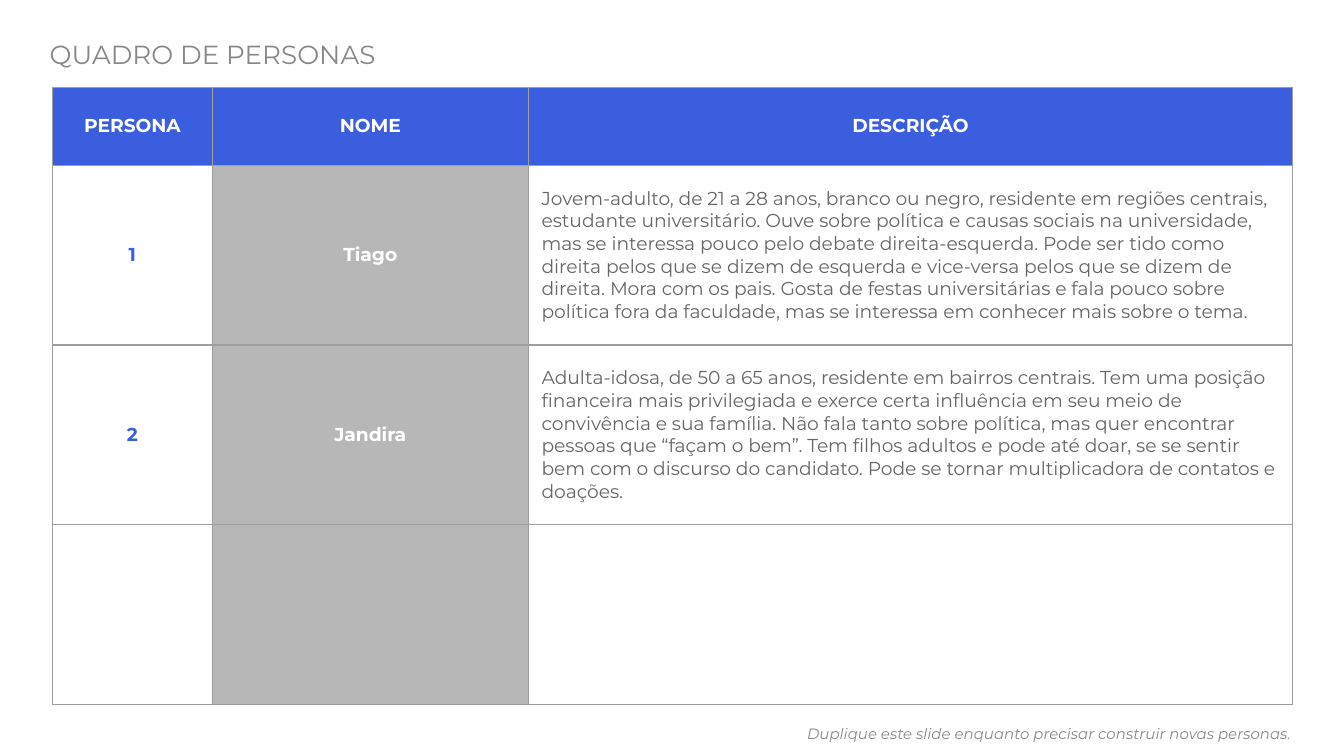
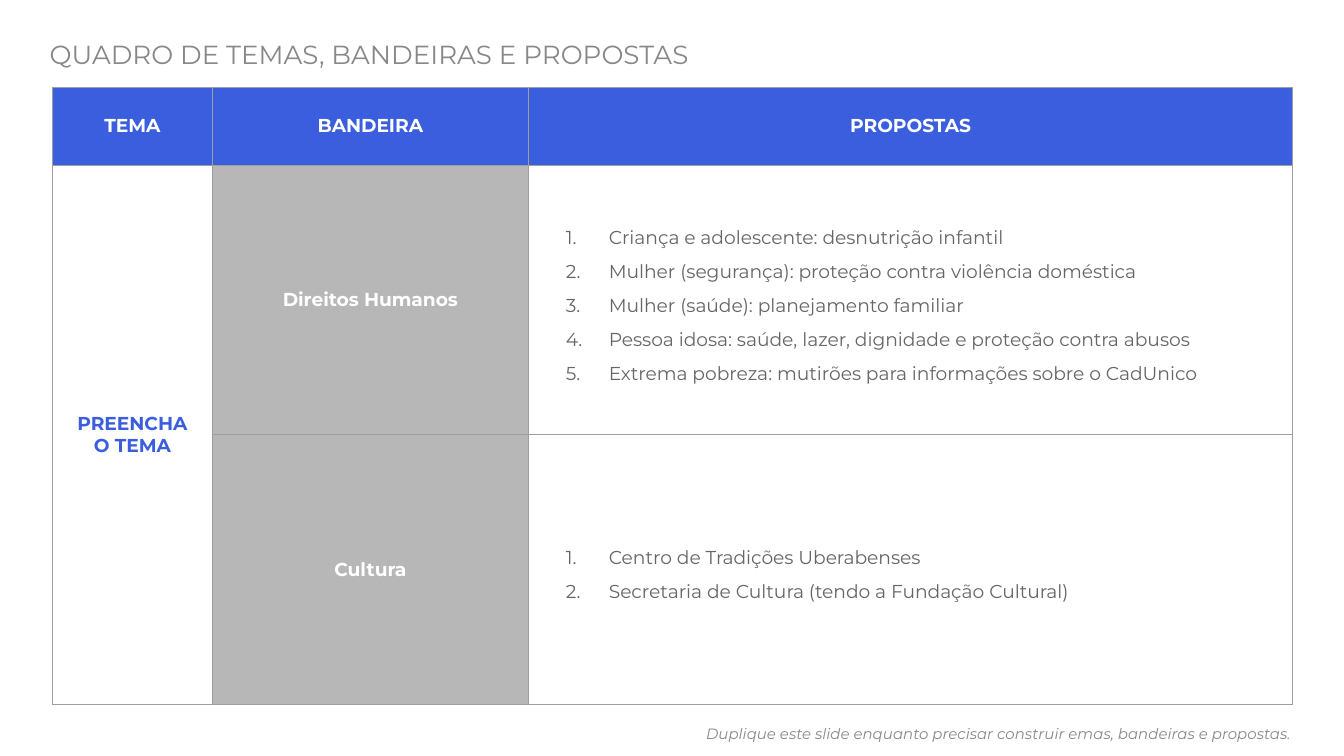
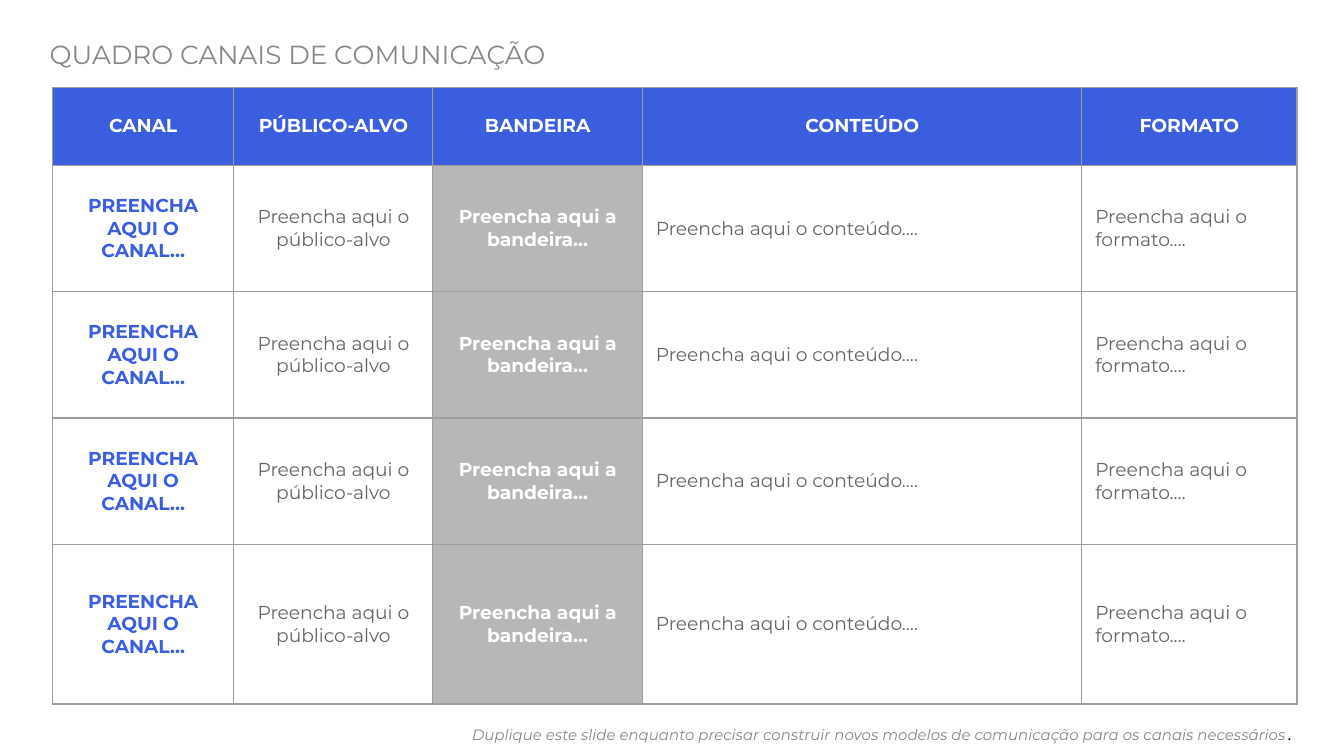
from dataclasses import dataclass
from typing import Optional

from lxml.etree import SubElement
from pptx import Presentation
from pptx.dml.color import RGBColor
from pptx.enum.text import MSO_ANCHOR, MSO_AUTO_SIZE, PP_ALIGN
from pptx.oxml.ns import qn
from pptx.presentation import Presentation as Deck
from pptx.slide import Slide
from pptx.table import _Cell as Cell
from pptx.text.text import TextFrame, _Paragraph as Paragraph
from pptx.util import Inches, Pt

BLUE = RGBColor(0x3A, 0x5E, 0xDD)
WHITE = RGBColor(0xFF, 0xFF, 0xFF)
BLACK = RGBColor(0x00, 0x00, 0x00)
SILVER = RGBColor(0xB7, 0xB7, 0xB7)
LINE_GRAY = RGBColor(0x9E, 0x9E, 0x9E)
TITLE_GRAY = RGBColor(0x88, 0x88, 0x88)
TEXT_GRAY = RGBColor(0x66, 0x66, 0x66)

FONT = "Montserrat"
TITLE_ONLY_LAYOUT = 5
SLIDE_WIDTH = 10
SLIDE_HEIGHT = SLIDE_WIDTH * 9 / 16
TABLE_LEFT, TABLE_TOP = 0.39, 0.65
HEADER_HEIGHT = 0.58
BODY_HEIGHT = 4.01
FOOTER_RIGHT = 9.71


@dataclass(frozen=True)
class CellStyle:
    color: RGBColor
    bold: bool = False
    align: PP_ALIGN = PP_ALIGN.CENTER
    fill: Optional[RGBColor] = None
    numbered: bool = False


HEADER = CellStyle(WHITE, bold=True, fill=BLUE)
KEY = CellStyle(BLUE, bold=True)
NAME = CellStyle(WHITE, bold=True, fill=SILVER)
DESCRIPTION = CellStyle(TEXT_GRAY, align=PP_ALIGN.LEFT)
PROPOSALS = CellStyle(TEXT_GRAY, align=PP_ALIGN.LEFT, numbered=True)
AUDIENCE = CellStyle(TEXT_GRAY, fill=WHITE)
CONTENT = CellStyle(TEXT_GRAY, align=PP_ALIGN.LEFT, fill=WHITE)


@dataclass(frozen=True)
class Column:
    heading: str
    width: float
    style: CellStyle


@dataclass(frozen=True)
class Board:
    """One slide: a title, a table and a footer; each cell is a tuple of paragraphs."""
    title: str
    title_width: float
    columns: tuple[Column, ...]
    rows: tuple[tuple[tuple[str, ...], ...], ...]
    row_heights: tuple[float, ...]
    footer: str
    footer_width: float = 5.54
    footer_ending: str = ""
    merge_first_column: bool = False


CHANNEL_ROW = (
    ("PREENCHA\nAQUI O CANAL…",),
    ("Preencha aqui o público-alvo",),
    ("Preencha aqui a bandeira…",),
    ("Preencha aqui o conteúdo.…",),
    ("Preencha aqui o formato.…",),
)

BOARDS = (
    Board(
        title="QUADRO DE PERSONAS",
        title_width=3.35,
        columns=(
            Column("PERSONA", 1.19, KEY),
            Column("NOME", 2.35, NAME),
            Column("DESCRIÇÃO", 5.69, DESCRIPTION),
        ),
        rows=(
            (("1",), ("Tiago",), (
                "Jovem-adulto, de 21 a 28 anos, branco ou negro, residente em regiões "
                "centrais, estudante universitário. Ouve sobre política e causas sociais "
                "na universidade, mas se interessa pouco pelo debate direita-esquerda. "
                "Pode ser tido como direita pelos que se dizem de esquerda e vice-versa "
                "pelos que se dizem de direita. Mora com os pais. Gosta de festas "
                "universitárias e fala pouco sobre política fora da faculdade, mas se "
                "interessa em conhecer mais sobre o tema.",)),
            (("2",), ("Jandira",), (
                "Adulta-idosa, de 50 a 65 anos, residente em bairros centrais. Tem uma "
                "posição financeira mais privilegiada e exerce certa influência em seu "
                "meio de convivência e sua família. Não fala tanto sobre política, mas "
                "quer encontrar pessoas que “façam o bem”. Tem filhos adultos e pode até "
                "doar, se se sentir bem com o discurso do candidato. Pode se tornar "
                "multiplicadora de contatos e doações.",)),
            ((), (), ()),
        ),
        row_heights=(BODY_HEIGHT / 3,) * 3,
        footer="Duplique este slide enquanto precisar construir novas personas.",
    ),
    Board(
        title="QUADRO DE TEMAS, BANDEIRAS E PROPOSTAS",
        title_width=6.07,
        columns=(
            Column("TEMA", 1.19, KEY),
            Column("BANDEIRA", 2.35, NAME),
            Column("PROPOSTAS", 5.69, PROPOSALS),
        ),
        rows=(
            (("PREENCHA\nO TEMA",), ("Direitos Humanos",), (
                "Criança e adolescente: desnutrição infantil",
                "Mulher (segurança): proteção contra violência doméstica",
                "Mulher (saúde): planejamento familiar",
                "Pessoa idosa: saúde, lazer, dignidade e proteção contra abusos",
                "Extrema pobreza: mutirões para informações sobre o CadUnico",
            )),
            ((), ("Cultura",), (
                "Centro de Tradições Uberabenses",
                "Secretaria de Cultura (tendo a Fundação Cultural)",
            )),
        ),
        row_heights=(BODY_HEIGHT / 2,) * 2,
        footer="Duplique este slide enquanto precisar construir emas, bandeiras e propostas.",
        merge_first_column=True,
    ),
    Board(
        title="QUADRO CANAIS DE COMUNICAÇÃO",
        title_width=6.07,
        columns=(
            Column("CANAL", 1.35, KEY),
            Column("PÚBLICO-ALVO", 1.48, AUDIENCE),
            Column("BANDEIRA", 1.56, NAME),
            Column("CONTEÚDO", 3.27, CONTENT),
            Column("FORMATO", 1.6, CONTENT),
        ),
        rows=(CHANNEL_ROW,) * 4,
        row_heights=(0.94, 0.94, 0.94, 1.19),
        footer="Duplique este slide enquanto precisar construir novos modelos de "
               "comunicação para os canais necessários",
        footer_width=7.17,
        footer_ending=".",
    ),
)


def set_frame(frame: TextFrame) -> None:
    frame.word_wrap = True
    frame.auto_size = MSO_AUTO_SIZE.NONE
    frame.vertical_anchor = MSO_ANCHOR.MIDDLE
    frame.margin_left = frame.margin_right = Inches(0.1)
    frame.margin_top = frame.margin_bottom = Inches(0.1)


def set_font(paragraph: Paragraph, size: float, color: RGBColor,
             bold: bool = False, italic: bool = False) -> None:
    font = paragraph.font
    font.name, font.size, font.bold, font.italic = FONT, Pt(size), bold, italic
    font.color.rgb = color


def set_indent(paragraph: Paragraph, left: float, first_line: float = 0) -> None:
    properties = paragraph._p.get_or_add_pPr()
    properties.set("marL", str(Inches(left)))
    properties.set("indent", str(Inches(first_line)))


def number_paragraph(paragraph: Paragraph, color: RGBColor) -> None:
    set_indent(paragraph, 0.5, -0.32)
    paragraph.line_spacing = 1.5
    properties = paragraph._p.get_or_add_pPr()
    bullet_color = SubElement(properties, qn("a:buClr"))
    SubElement(bullet_color, qn("a:srgbClr"), val=str(color))
    SubElement(properties, qn("a:buFont"), typeface=FONT)
    SubElement(properties, qn("a:buAutoNum"), type="arabicPeriod")


def add_borders(cell: Cell) -> None:
    properties = cell._tc.get_or_add_tcPr()
    for side in ("lnL", "lnR", "lnT", "lnB"):
        line = SubElement(properties, qn(f"a:{side}"), w=str(Pt(0.75)))
        fill = SubElement(line, qn("a:solidFill"))
        SubElement(fill, qn("a:srgbClr"), val=str(LINE_GRAY))


def fill_cell(cell: Cell, texts: tuple[str, ...], style: CellStyle) -> None:
    add_borders(cell)
    if style.fill is None:
        cell.fill.background()
    else:
        cell.fill.solid()
        cell.fill.fore_color.rgb = style.fill
    cell.vertical_anchor = MSO_ANCHOR.MIDDLE
    cell.margin_left = cell.margin_right = Inches(0.1)
    cell.margin_top = cell.margin_bottom = Inches(0.1)
    frame = cell.text_frame
    for index, text in enumerate(texts):
        paragraph = frame.add_paragraph() if index else frame.paragraphs[0]
        paragraph.text = text
        paragraph.alignment = style.align
        if style.numbered:
            number_paragraph(paragraph, style.color)
        set_font(paragraph, 10, style.color, style.bold)


def add_title(slide: Slide, board: Board) -> None:
    title = slide.shapes.title
    title.left, title.top = Inches(0.27), Inches(0.25)
    title.width, title.height = Inches(board.title_width), Inches(0.3)
    set_frame(title.text_frame)
    paragraph = title.text_frame.paragraphs[0]
    paragraph.text = board.title
    paragraph.alignment = PP_ALIGN.LEFT
    set_font(paragraph, 14, TITLE_GRAY)


def add_board_table(slide: Slide, board: Board) -> None:
    heights = (HEADER_HEIGHT, *board.row_heights)
    width = sum(column.width for column in board.columns)
    table = slide.shapes.add_table(
        len(heights), len(board.columns), Inches(TABLE_LEFT), Inches(TABLE_TOP),
        Inches(width), Inches(sum(heights))).table
    table.first_row = table.horz_banding = False
    for row, height in zip(table.rows, heights):
        row.height = Inches(height)
    for index, column in enumerate(board.columns):
        table.columns[index].width = Inches(column.width)
        fill_cell(table.cell(0, index), (column.heading,), HEADER)
        for number, row in enumerate(board.rows, start=1):
            fill_cell(table.cell(number, index), row[index], column.style)
    if board.merge_first_column:
        table.cell(1, 0).merge(table.cell(len(board.rows), 0))


def add_footer(slide: Slide, board: Board) -> None:
    footer = slide.shapes.add_textbox(
        Inches(FOOTER_RIGHT - board.footer_width), Inches(5.3),
        Inches(board.footer_width), Inches(0.3))
    set_frame(footer.text_frame)
    paragraph = footer.text_frame.paragraphs[0]
    paragraph.text = board.footer
    paragraph.alignment = PP_ALIGN.RIGHT
    paragraph.line_spacing = 1.15
    set_indent(paragraph, 0.5)
    set_font(paragraph, 8, TITLE_GRAY, italic=True)
    if board.footer_ending:
        ending = paragraph.add_run()
        ending.text = board.footer_ending
        font = ending.font
        font.name, font.size, font.italic = "Arial", Pt(9), False
        font.color.rgb = BLACK


def add_board(presentation: Deck, board: Board) -> None:
    slide = presentation.slides.add_slide(presentation.slide_layouts[TITLE_ONLY_LAYOUT])
    add_title(slide, board)
    add_board_table(slide, board)
    add_footer(slide, board)


def main() -> None:
    presentation = Presentation()
    presentation.slide_width = Inches(SLIDE_WIDTH)
    presentation.slide_height = Inches(SLIDE_HEIGHT)
    for board in BOARDS:
        add_board(presentation, board)
    presentation.save("out.pptx")


if __name__ == "__main__":
    main()
